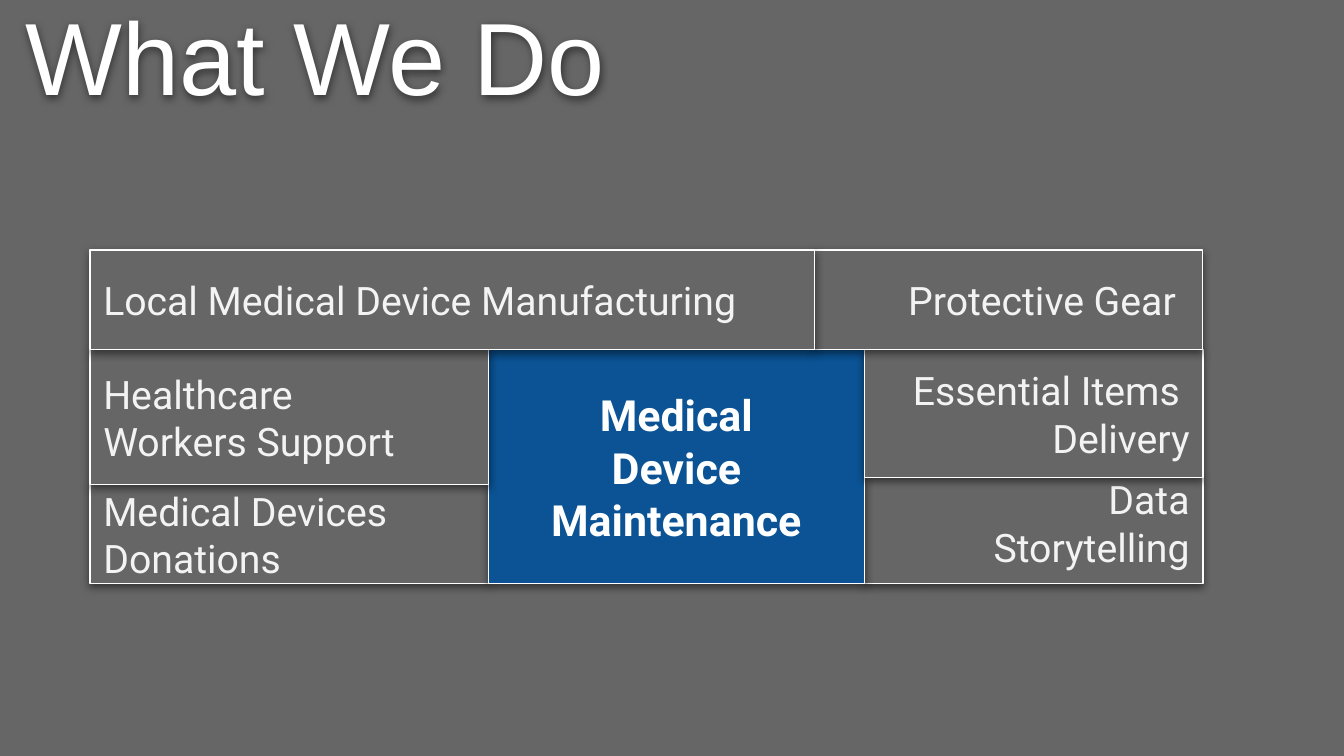
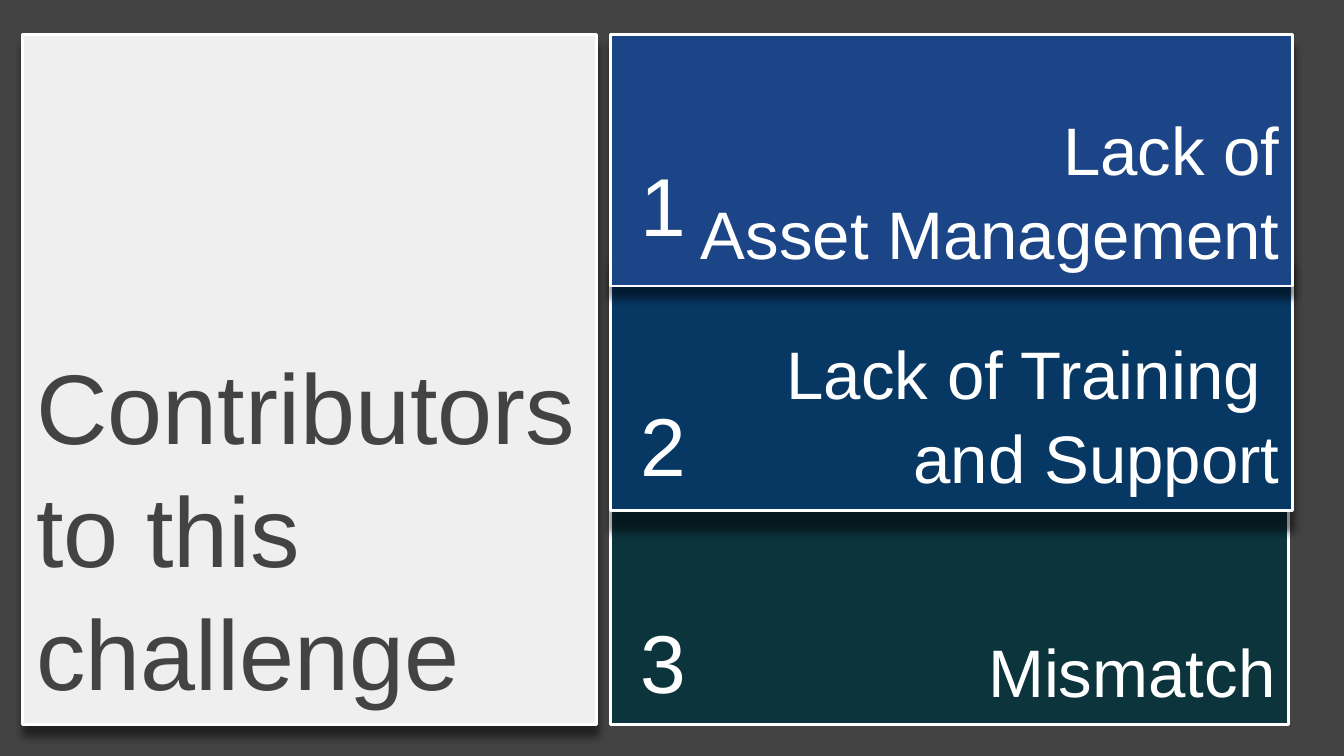
from dataclasses import dataclass

from lxml.etree import SubElement
from pptx import Presentation
from pptx.dml.color import RGBColor
from pptx.enum.shapes import MSO_SHAPE as Preset
from pptx.enum.text import MSO_ANCHOR as Anchor, MSO_AUTO_SIZE as AutoSize, PP_ALIGN as Align
from pptx.oxml.ns import qn
from pptx.util import Inches, Pt


@dataclass(frozen=True)
class Theme:
    """Colours, fonts and type sizes shared by the slides."""
    grey: str = "666666"
    charcoal: str = "434343"
    white: str = "FFFFFF"
    black: str = "000000"
    pale_text: str = "F3F3F3"
    pale_panel: str = "EFEFEF"
    focus_blue: str = "0B5394"
    royal: str = "1C4587"
    navy: str = "073763"
    teal: str = "0C343D"
    heading_font: str = "Arial"
    body_font: str = "Roboto"
    title_size: int = 55
    panel_size: int = 53
    number_size: int = 44
    card_size: int = 36
    focus_size: int = 23
    tile_size: int = 21
    inset: float = 0.1


THEME = Theme()
SPACING = {THEME.heading_font: 1.04, THEME.body_font: 1.02}


@dataclass(frozen=True)
class Box:
    """A rectangle in inches."""
    left: float
    top: float
    width: float
    height: float

    def area(self, left, top, right, bottom):
        """Return the inner box between edges given in percent."""
        return Box(self.left + self.width * left / 100, self.top + self.height * top / 100,
                   self.width * (right - left) / 100, self.height * (bottom - top) / 100)

    def lengths(self):
        """Return left, top, width and height as slide lengths."""
        return [Inches(value) for value in (self.left, self.top, self.width, self.height)]


PAGE = Box(0, 0, 10, 5.625)


def colour(code):
    """Turn a hex code into a colour."""
    return RGBColor.from_string(code)


def add_shadow(shape, distance, code=THEME.black, opacity=50):
    """Give a shape a soft shadow that falls downwards."""
    shape.shadow.inherit = False
    effects = shape._element.spPr.find(qn("a:effectLst"))
    outer = SubElement(effects, qn("a:outerShdw"), blurRad=str(Pt(4.5)), dist=str(Pt(distance)),
                       dir="5400000", algn="bl", rotWithShape="0")
    tint = SubElement(outer, qn("a:srgbClr"), val=code)
    SubElement(tint, qn("a:alpha"), val=str(opacity * 1000))


def paint(shape, fill, line_width):
    """Fill a shape and outline it in white."""
    shape.fill.solid()
    shape.fill.fore_color.rgb = colour(fill)
    shape.line.color.rgb = colour(THEME.white)
    shape.line.width = Pt(line_width)


def write(shape, text, size, font=THEME.heading_font, code=THEME.white, align=Align.LEFT,
          anchor=Anchor.BOTTOM, bold=False, right_inset=THEME.inset):
    """Write one paragraph, with a line break at each newline."""
    frame = shape.text_frame
    frame.word_wrap = True
    frame.auto_size = AutoSize.NONE
    frame.vertical_anchor = anchor
    frame.margin_left = frame.margin_top = frame.margin_bottom = Inches(THEME.inset)
    frame.margin_right = Inches(right_inset)
    paragraph = frame.paragraphs[0]
    paragraph.alignment = align
    paragraph.line_spacing = SPACING[font]
    for index, line in enumerate(text.split("\n")):
        if index:
            paragraph.add_line_break()
        run = paragraph.add_run()
        run.text = line
        run.font.name = font
        run.font.size = Pt(size)
        run.font.bold = bold
        run.font.color.rgb = colour(code)


def start_slide(presentation, background):
    """Add a title-only slide with a plain background."""
    slide = presentation.slides.add_slide(presentation.slide_layouts[5])
    slide.background.fill.solid()
    slide.background.fill.fore_color.rgb = colour(background)
    return slide


def place_title(slide, box, text, size, code):
    """Move the title placeholder into a box and write it."""
    title = slide.shapes.title
    title.left, title.top, title.width, title.height = box.lengths()
    write(title, text, size, code=code)
    return title


def add_block(slide, box, fill, line_width):
    """Add an outlined rectangle."""
    block = slide.shapes.add_shape(Preset.RECTANGLE, *box.lengths())
    paint(block, fill, line_width)
    return block


def add_tile(slide, box, text, fill=THEME.grey, **style):
    """Add one tile of the activity board."""
    tile = add_block(slide, box, fill, 0.75)
    add_shadow(tile, 1.5, opacity=49)
    settings = dict(size=THEME.tile_size, font=THEME.body_font, code=THEME.pale_text,
                    anchor=Anchor.MIDDLE)
    write(tile, text, **{**settings, **style})


def add_board(slide, box):
    """Lay the activities around the focus tile."""
    top_row, left_split, right_split = 29.8, 70.2, 68.1
    left_edge, top_edge, right_edge = 35.8, 65.1, 69.6
    right = dict(align=Align.RIGHT)
    focus = dict(fill=THEME.focus_blue, size=THEME.focus_size, code=THEME.white,
                 align=Align.CENTER, bold=True)
    tiles = [
        ((right_edge, right_split, 100, 100), "Data\nStorytelling", dict(right, anchor=Anchor.BOTTOM)),
        ((0, left_split, left_edge, 100), "Medical Devices\nDonations", {}),
        ((left_edge, top_row, right_edge, 100), "Medical\nDevice\nMaintenance", focus),
        ((right_edge, top_row, 100, right_split), "Essential Items \nDelivery", right),
        ((0, top_row, left_edge, left_split), "Healthcare \nWorkers Support", {}),
        ((top_edge, 0, 100, top_row), "Protective Gear", dict(right, right_inset=0.2)),
        ((0, 0, top_edge, top_row), "Local Medical Device Manufacturing", {}),
    ]
    for edges, text, style in tiles:
        add_tile(slide, box.area(*edges), text, **style)


def add_cards(slide, box):
    """Stack the numbered cards, each overlapping the one below."""
    cards = [
        ("3", "Mismatch", THEME.teal, (0, 65.1, 99.4, 100), 81.1, 6, THEME.charcoal),
        ("2", "Lack of Training \nand Support", THEME.navy, (0, 30.8, 100, 69), 49.7, 10.5, THEME.black),
        ("1", "Lack of\nAsset Management", THEME.royal, (0, 0, 100, 36.45), 14.8, 6, THEME.black),
    ]
    for _, text, fill, edges, _, distance, shade in cards:
        card = add_block(slide, box.area(*edges), fill, 1.5)
        add_shadow(card, distance, shade)
        write(card, text, THEME.card_size, align=Align.RIGHT)
    for number, _, _, _, top, _, _ in reversed(cards):
        label = slide.shapes.add_textbox(*box.area(2.56, top, 20.67, top + 18.9).lengths())
        write(label, number, THEME.number_size, anchor=Anchor.TOP)


def build_activities(presentation):
    """Build the slide on what we do."""
    slide = start_slide(presentation, THEME.grey)
    title = place_title(slide, PAGE.area(0.9, 3, 64.3, 17.1), "What We Do",
                        THEME.title_size, THEME.white)
    add_shadow(title, 1.5, opacity=49)
    add_board(slide, PAGE.area(6.7, 33.1, 89.5, 77.2))


def build_contributors(presentation):
    """Build the slide on the contributors to the challenge."""
    slide = start_slide(presentation, THEME.charcoal)
    top, bottom = 4.6, 95.8
    panel = place_title(slide, PAGE.area(1.7, top, 44.4, bottom), "Contributors to this challenge",
                        THEME.panel_size, THEME.charcoal)
    paint(panel, THEME.pale_panel, 1.5)
    add_shadow(panel, 6)
    add_cards(slide, PAGE.area(45.4, top, 96.2, bottom))


def main():
    """Build and save the presentation."""
    presentation = Presentation()
    presentation.slide_width = Inches(PAGE.width)
    presentation.slide_height = Inches(PAGE.height)
    build_activities(presentation)
    build_contributors(presentation)
    presentation.save("out.pptx")


if __name__ == "__main__":
    main()
